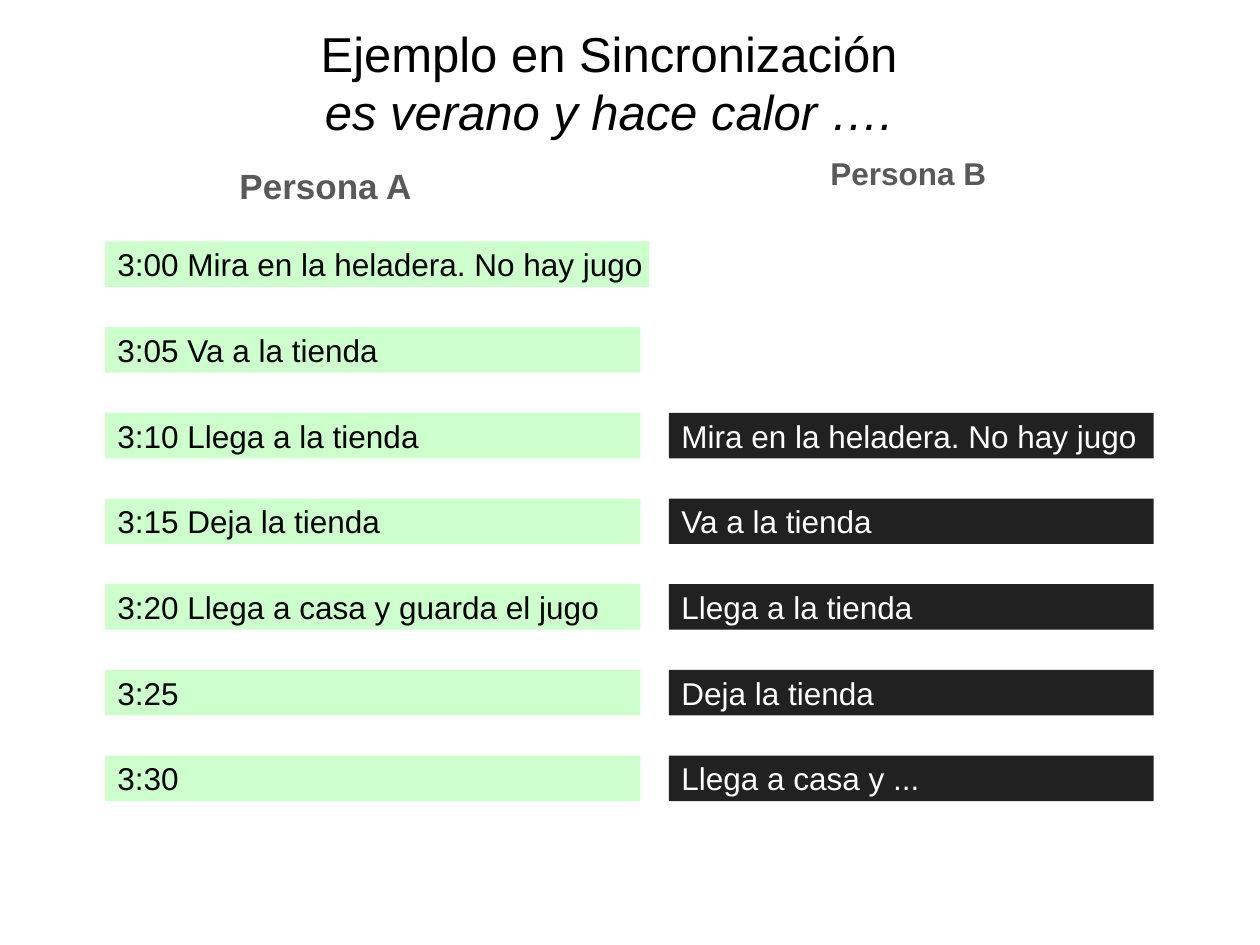
import pptx
import pptx.dml.color
import pptx.enum.shapes
import pptx.enum.text
import pptx.util

Pt = pptx.util.Pt
Align = pptx.enum.text.PP_ALIGN
Anchor = pptx.enum.text.MSO_ANCHOR

ROW_TOP, ROW_STEP, ROW_HEIGHT = 138, 48.96, 26
A_LEFT, B_LEFT = 60, 382.32
PERSON_A = [
    "3:00 Mira en la heladera. No hay jugo",
    "3:05 Va a la tienda",
    "3:10 Llega a la tienda",
    "3:15 Deja la tienda",
    "3:20 Llega a casa y guarda el jugo",
    "3:25",
    "3:30",
]
PERSON_B = [
    "Mira en la heladera. No hay jugo",
    "Va a la tienda",
    "Llega a la tienda",
    "Deja la tienda",
    "Llega a casa y ...",
]
B_START = len(PERSON_A) - len(PERSON_B)


def color(value):
    return pptx.dml.color.RGBColor.from_string(value)


class Board:
    font = "Arial"
    black, gray, white = "000000", "595959", "FFFFFF"
    green, dark = "CCFFCC", "212121"

    def __init__(self, slide):
        self.slide = slide

    def add_span(self, para, text, size, ink, bold=False, italic=False):
        span = para.add_run()
        span.text = text
        span.font.name = self.font
        span.font.size = Pt(size)
        span.font.bold = bold
        span.font.italic = italic
        span.font.color.rgb = color(ink)

    def add_box(self, left, top, width, height, right_margin=7.2):
        """Add a top-anchored text box and return its centred paragraph."""
        box = self.slide.shapes.add_textbox(Pt(left), Pt(top), Pt(width), Pt(height))
        frame = box.text_frame
        frame.word_wrap = True
        frame.vertical_anchor = Anchor.TOP
        frame.margin_left = frame.margin_top = frame.margin_bottom = Pt(7.2)
        frame.margin_right = Pt(right_margin)
        para = frame.paragraphs[0]
        para.alignment = Align.CENTER
        return para

    def add_title(self, first, second):
        para = self.add_box(48, 6, 600, 77)
        self.add_span(para, first, 28, self.black)
        para.add_line_break()
        self.add_span(para, second, 28, self.black, italic=True)

    def add_heading(self, text, left, size, spacing, right_margin):
        para = self.add_box(left, 83, 323, 47, right_margin)
        para.line_spacing = spacing
        self.add_span(para, text, size, self.gray, bold=True)

    def add_step(self, text, left, row, width, fill, ink):
        box = self.slide.shapes.add_shape(
            pptx.enum.shapes.MSO_SHAPE.RECTANGLE,
            Pt(left), Pt(ROW_TOP + row * ROW_STEP), Pt(width), Pt(ROW_HEIGHT))
        box.shadow.inherit = False
        box.fill.solid()
        box.fill.fore_color.rgb = color(fill)
        box.line.fill.background()
        frame = box.text_frame
        frame.word_wrap = False
        frame.vertical_anchor = Anchor.MIDDLE
        frame.margin_left = frame.margin_right = Pt(7.2)
        frame.margin_top = frame.margin_bottom = Pt(3.6)
        para = frame.paragraphs[0]
        para.alignment = Align.LEFT
        self.add_span(para, text, 18, ink)


def main():
    deck = pptx.Presentation()
    deck.slide_width, deck.slide_height = Pt(720), Pt(540)
    board = Board(deck.slides.add_slide(deck.slide_layouts[6]))

    board.add_title("Ejemplo en Sincronización", "es verano y hace calor ….")
    board.add_heading("Persona A", 48, 20, 1.15, 54)
    board.add_heading("Persona B", 385, 18, 0.9, 62)

    for row, text in enumerate(PERSON_A):
        width = 311 if row == 0 else 306
        board.add_step(text, A_LEFT, row, width, board.green, board.black)
    for row, text in enumerate(PERSON_B, B_START):
        board.add_step(text, B_LEFT, row, 277, board.dark, board.white)

    deck.save("out.pptx")


if __name__ == "__main__":
    main()
